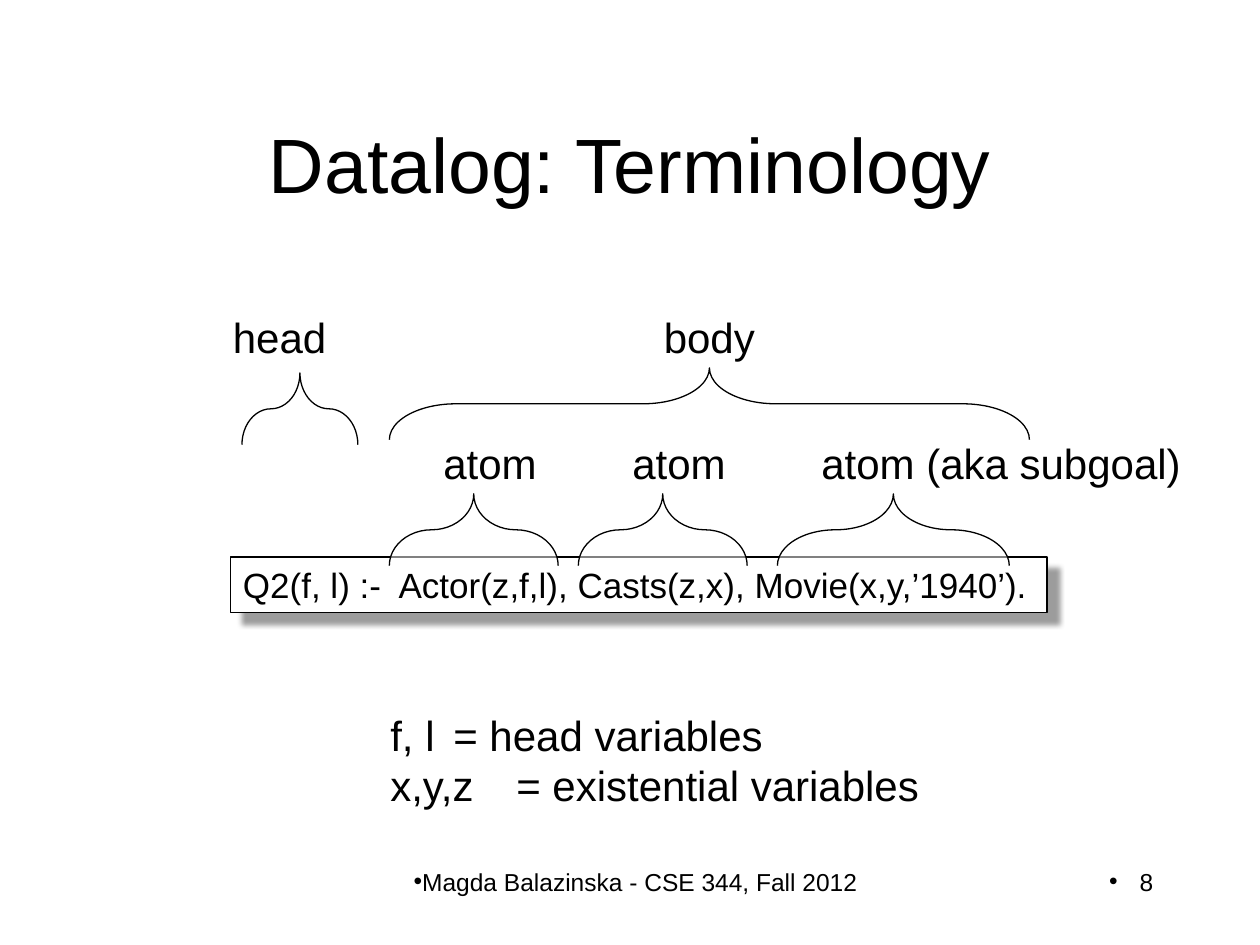
import pptx
import pptx.dml.color
import pptx.enum.shapes
import pptx.enum.text
import pptx.oxml
import pptx.oxml.ns
import pptx.util

PX = 9144
FONT = "Arial"
BLACK = "000000"
WHITE = "FFFFFF"
ALIGN = pptx.enum.text.PP_ALIGN
ANCHOR = pptx.enum.text.MSO_ANCHOR
SHAPE = pptx.enum.shapes.MSO_SHAPE


def color(value):
    """Turn a hex string into a color."""
    return pptx.dml.color.RGBColor.from_string(value)


def emu(*lengths):
    """Turn px lengths into EMU."""
    return [round(length * PX) for length in lengths]


def element(xml):
    """Parse a fragment that uses the drawing namespace."""
    return pptx.oxml.parse_xml(xml.replace(" ", f" {pptx.oxml.ns.nsdecls('a')} ", 1))


def write(shape, text, size=24, align=ALIGN.LEFT, anchor=ANCHOR.TOP, wrap=False, hang=None):
    """Write one formatted paragraph, with a bullet when a hang is given."""
    frame = shape.text_frame
    frame.word_wrap = wrap
    frame.vertical_anchor = anchor
    para = frame.paragraphs[0]
    para.text = text
    para.alignment = align
    for span in para.runs:
        span.font.name = FONT
        span.font.size = pptx.util.Pt(size)
        span.font.color.rgb = color(BLACK)
    if hang is not None:
        properties = para._p.get_or_add_pPr()
        properties.set("marL", str(hang * PX))
        properties.set("indent", str(-hang * PX))
        properties.append(element('<a:buFont typeface="Arial"/>'))
        properties.append(element('<a:buChar char="•"/>'))


def add_label(page, box, text, **style):
    """Add a text box."""
    write(page.shapes.add_textbox(*emu(*box)), text, **style)


def add_outlined(page, kind, box):
    """Add a white shape with a thin black outline."""
    shape = page.shapes.add_shape(kind, *emu(*box))
    shape.shadow.inherit = False
    shape.fill.solid()
    shape.fill.fore_color.rgb = color(WHITE)
    shape.line.color.rgb = color(BLACK)
    shape.line.width = pptx.util.Pt(0.75)
    return shape


def add_brace(page, left, top, width, height=57):
    """Add a half-transparent brace that points up and spans the given box."""
    shift = (width - height) / 2
    brace = add_outlined(page, SHAPE.LEFT_BRACE, (left + shift, top - shift, height, width))
    brace.rotation = 90
    brace.adjustments[0] = 0.927
    brace.adjustments[1] = 0.5
    tint = brace.fill._xPr.find(".//" + pptx.oxml.ns.qn("a:srgbClr"))
    tint.append(element('<a:alpha val="50000"/>'))


def add_title(page, box):
    """Place and fill the title."""
    title = page.shapes.title
    title.left, title.top, title.width, title.height = emu(*box)
    write(title, "Datalog: Terminology", size=44, align=ALIGN.CENTER, anchor=ANCHOR.MIDDLE, wrap=True)


def add_query(page, box):
    """Add the rule in its shadowed box."""
    query = add_outlined(page, SHAPE.RECTANGLE, box)
    effects = query._element.spPr.find(pptx.oxml.ns.qn("a:effectLst"))
    effects.append(element(
        '<a:outerShdw blurRad="39370" dist="114300" dir="2700000" algn="ctr" rotWithShape="0">'
        '<a:srgbClr val="000000"><a:alpha val="38000"/></a:srgbClr></a:outerShdw>'))
    write(query, "Q2(f, l) :-  Actor(z,f,l), Casts(z,x), Movie(x,y,’1940’).", size=20)


def add_anatomy(page, left, top):
    """Add the rule with the braces and labels that name its parts."""
    add_query(page, (left + 8, top + 200, 648, 44))
    braces = [(134, 50, 508), (134, 150, 134), (284, 150, 134), (442, 150, 184), (17, 54, 92)]
    for x, y, width in braces:
        add_brace(page, left + x, top + y, width)
    labels = [("body", 342, 0, 93), ("head", 0, 0, 95), ("atom", 167, 100, 95),
              ("atom", 317, 100, 95), ("atom (aka subgoal)", 467, 100, 308)]
    for text, x, y, width in labels:
        add_label(page, (left + x, top + y, width, 50), text)


def add_footer(page, left, top, height=50):
    """Add the course line and the page number."""
    add_label(page, (left, top, 375, height), "Magda Balazinska - CSE 344, Fall 2012",
              size=14, align=ALIGN.CENTER, wrap=True, hang=0)
    add_label(page, (left + 400, top, 208, height), "8",
              size=14, align=ALIGN.RIGHT, wrap=True, hang=24)


def main():
    """Build and save the deck."""
    deck = pptx.Presentation()
    deck.slide_width, deck.slide_height = emu(1000, 750)
    page = deck.slides.add_slide(deck.slide_layouts.get_by_name("Title Only"))
    add_title(page, (75, 67, 850, 125))
    add_footer(page, 317, 683)
    add_anatomy(page, 175, 242)
    add_label(page, (300, 558, 444, 91), "f, l\t= head variables\vx,y,z\t= existential variables")
    deck.save("out.pptx")


if __name__ == "__main__":
    main()
